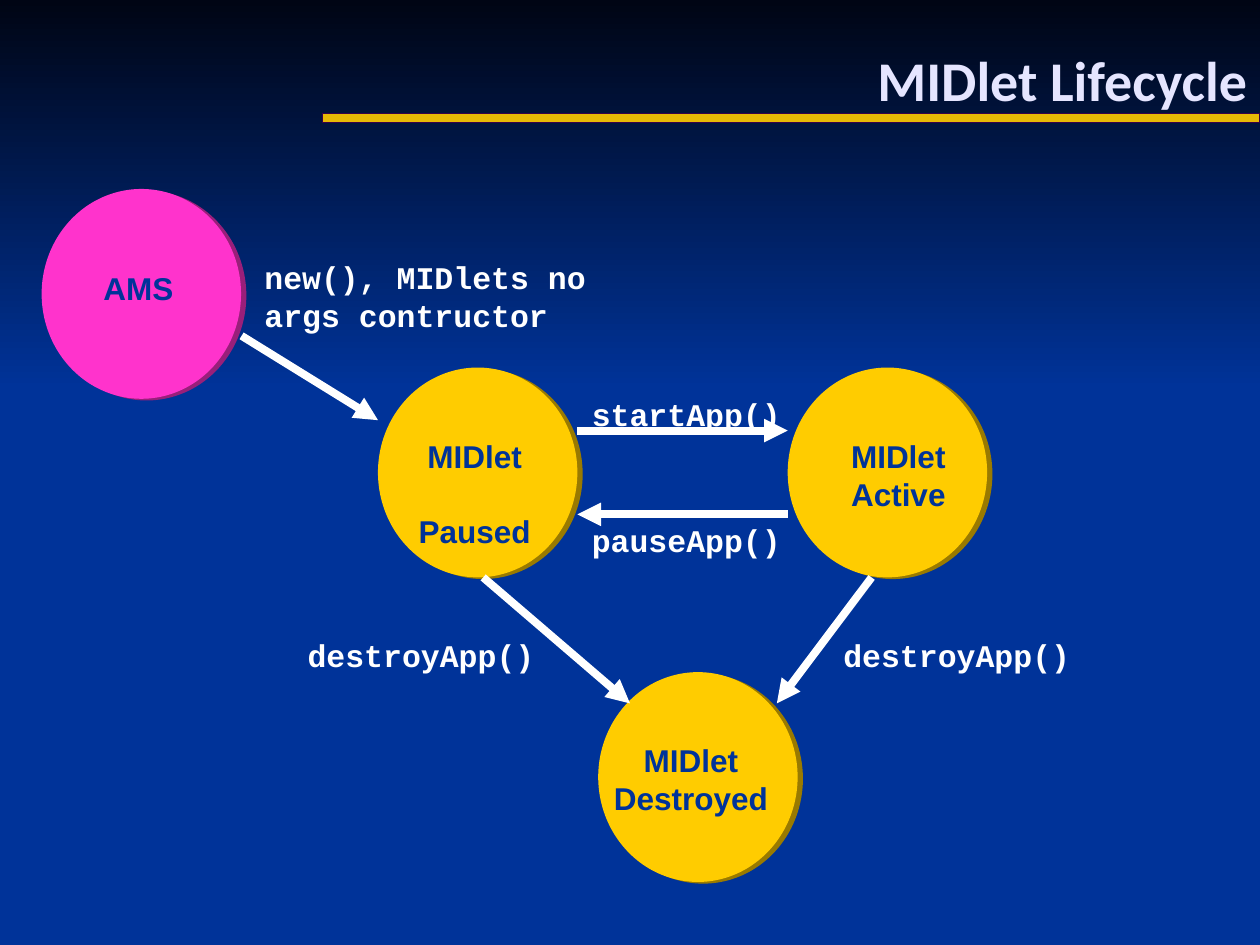
from dataclasses import dataclass

from lxml import etree
from pptx import Presentation
from pptx.dml.color import RGBColor
from pptx.enum.shapes import MSO_CONNECTOR, MSO_SHAPE
from pptx.enum.text import MSO_ANCHOR, PP_ALIGN
from pptx.oxml.ns import qn
from pptx.util import Cm, Pt

LEFT, MID, RIGHT = PP_ALIGN.LEFT, PP_ALIGN.CENTER, PP_ALIGN.RIGHT
MIDDLE = MSO_ANCHOR.MIDDLE
OVAL, RECT = MSO_SHAPE.OVAL, MSO_SHAPE.RECTANGLE
STRAIGHT = MSO_CONNECTOR.STRAIGHT


@dataclass(frozen=True)
class Theme:
    """Hold the colours, fonts and sizes of the slide."""
    blue: str = "003399"
    night: str = "000514"
    gold: str = "FFCC00"
    umber: str = "997A00"
    pink: str = "FF33CC"
    plum: str = "991F7A"
    edge: str = "380147"
    pale: str = "E5E5FF"
    white: str = "FFFFFF"
    head: str = "Calibri"
    body: str = "Arial"
    code: str = "Courier New"
    big: float = 32
    size: float = 18
    lead: float = 21.6
    stroke: float = 4.5


T = Theme()
WIDE, HIGH = 25.4, 19.05
DIAM_X, DIAM_Y = 4.02, 4.23


def rgb(code):
    """Turn a hex code into a colour."""
    return RGBColor.from_string(code)


def add_form(slide, kind, x, y, w, h, fill):
    """Add a plain filled shape without line or shadow."""
    form = slide.shapes.add_shape(kind, Cm(x), Cm(y), Cm(w), Cm(h))
    form.shadow.inherit = False
    form.fill.solid()
    form.fill.fore_color.rgb = rgb(fill)
    form.line.fill.background()
    return form


def add_ground(slide):
    """Paint the night sky over the blue ground."""
    slide.background.fill.solid()
    slide.background.fill.fore_color.rgb = rgb(T.blue)
    split = 7.85
    sky = add_form(slide, RECT, 0, 0, WIDE, split, T.blue)
    sky.fill.gradient()
    sky.fill.gradient_angle = 270
    for stop, tone in zip(sky.fill.gradient_stops, (T.night, T.blue)):
        stop.color.rgb = rgb(tone)
    add_form(slide, RECT, 0, split, WIDE, HIGH - split, T.blue)


def add_rule(slide):
    """Add the gold bar under the title."""
    rule = add_form(slide, RECT, 6.5, 2.29, 18.9, 0.18, T.gold)
    tone = rule.fill._xPr.find(".//" + qn("a:srgbClr"))
    etree.SubElement(tone, qn("a:alpha"), val="90000")
    rule.line.color.rgb = rgb(T.edge)
    rule.line.width = Pt(0.75)


def add_state(slide, x, y, fill, shade):
    """Add a state circle with a hard shadow."""
    state = add_form(slide, OVAL, x, y, DIAM_X, DIAM_Y, fill)
    cast = etree.SubElement(
        state._element.spPr.find(qn("a:effectLst")), qn("a:outerShdw"),
        dist=str(Pt(3.2)), dir="1080000", algn="ctr", rotWithShape="0")
    etree.SubElement(cast, qn("a:srgbClr"), val=shade)


def add_text(slide, x, y, w, h, lines, face, tone, align=LEFT,
             size=T.size, lead=T.lead, gap=0):
    """Add a bold text box with one paragraph per line."""
    box = slide.shapes.add_textbox(Cm(x), Cm(y), Cm(w), Cm(h))
    frame = box.text_frame
    frame.word_wrap = True
    frame.text = "\n".join(lines)
    for rank, para in enumerate(frame.paragraphs):
        para.alignment = align
        para.line_spacing = Pt(lead) if lead else None
        if rank and gap:
            para.space_before = Pt(gap)
        font = para.font
        font.name, font.size, font.bold = face, Pt(size), True
        font.color.rgb = rgb(tone)
    return frame


def add_arrow(slide, x1, y1, x2, y2):
    """Add a white arrow between two points."""
    arrow = slide.shapes.add_connector(
        STRAIGHT, Cm(x1), Cm(y1), Cm(x2), Cm(y2))
    arrow.line.color.rgb = rgb(T.white)
    arrow.line.width = Pt(T.stroke)
    etree.SubElement(arrow.line._get_or_add_ln(), qn("a:tailEnd"),
                     type="triangle")
    etree.SubElement(arrow._element.spPr, qn("a:effectLst"))


def main():
    """Build and save the slide."""
    deck = Presentation()
    deck.slide_width, deck.slide_height = Cm(WIDE), Cm(HIGH)
    slide = deck.slides.add_slide(deck.slide_layouts[6])
    add_ground(slide)
    add_rule(slide)
    title = add_text(slide, 2.54, 0, 22.86, 3.18, ["MIDlet Lifecycle"],
                     T.head, T.pale, RIGHT, T.big, None)
    title.vertical_anchor = MIDDLE

    row = 7.41
    for x, y, fill, shade in (
            (0.84, 3.81, T.pink, T.plum),
            (7.62, row, T.gold, T.umber),
            (15.88, row, T.gold, T.umber),
            (12.06, 13.55, T.gold, T.umber)):
        add_state(slide, x, y, fill, shade)

    wide = 3.8
    for mid, y, lines, gap in (
            (2.79, 5.29, ["AMS"], 0),
            (9.57, 8.68, ["MIDlet", "Paused"], T.lead),
            (18.11, 8.68, ["MIDlet", "Active"], 0),
            (13.93, 14.82, ["MIDlet", "Destroyed"], 0)):
        high = 0.25 + 0.76 * len(lines) + Pt(gap).cm
        add_text(slide, mid - wide / 2, y, wide, high, lines,
                 T.body, T.blue, MID, gap=gap)

    near, far, foot, tip = 11.64, 15.88, 11.64, 14.18
    for ends in ((4.87, 6.77, 7.62, 8.47),
                 (far, 10.37, near, 10.37),
                 (near, 8.68, far, 8.68),
                 (9.74, foot, 12.7, tip),
                 (17.57, foot, 15.66, tip)):
        add_arrow(slide, *ends)

    for x, y, w, h, label in (
            (5.08, 5.08, 6.98, 1.78, "new(), MIDlets no args contructor"),
            (11.68, 7.83, 4.6, 1.02, "startApp()"),
            (11.68, 10.37, 4.6, 1.02, "pauseApp()"),
            (5.95, 12.7, 5.3, 1.02, "destroyApp()"),
            (16.75, 12.7, 5.3, 1.02, "destroyApp()")):
        add_text(slide, x, y, w, h, [label], T.code, T.white)
    deck.save("out.pptx")


if __name__ == "__main__":
    main()
